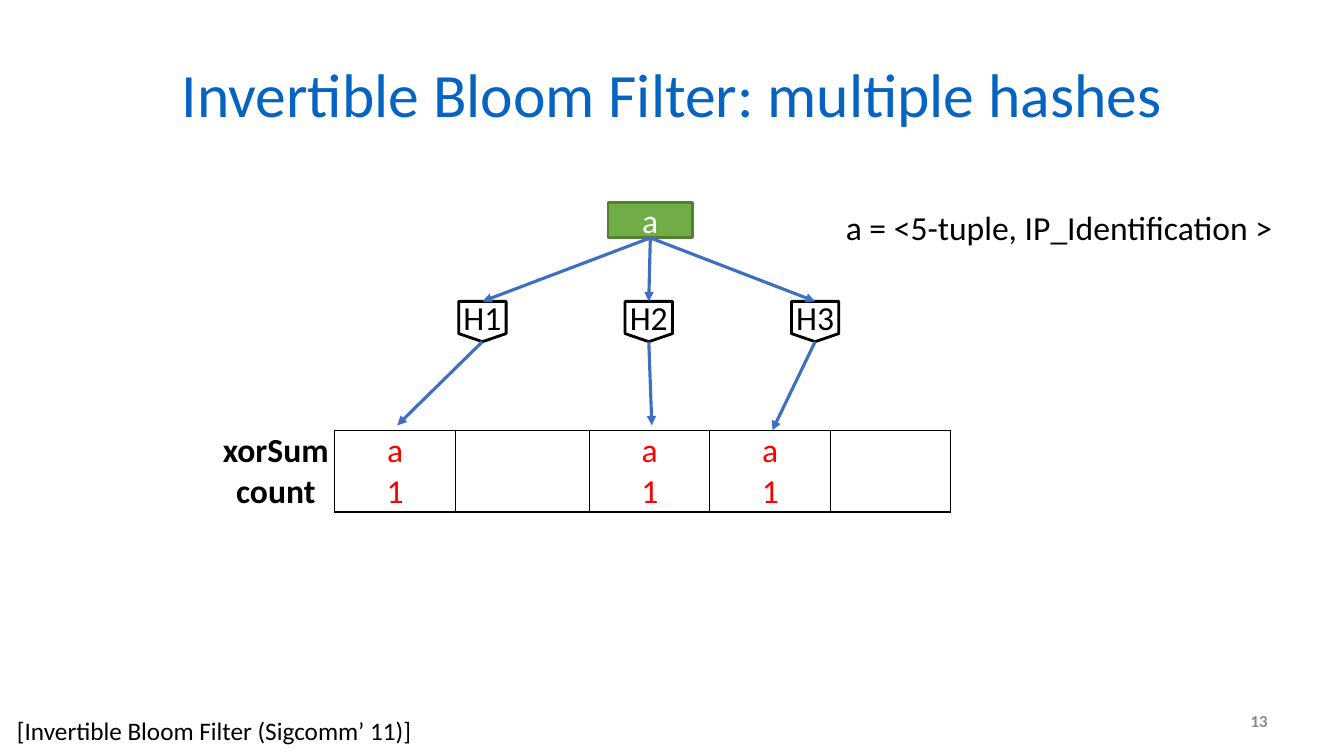
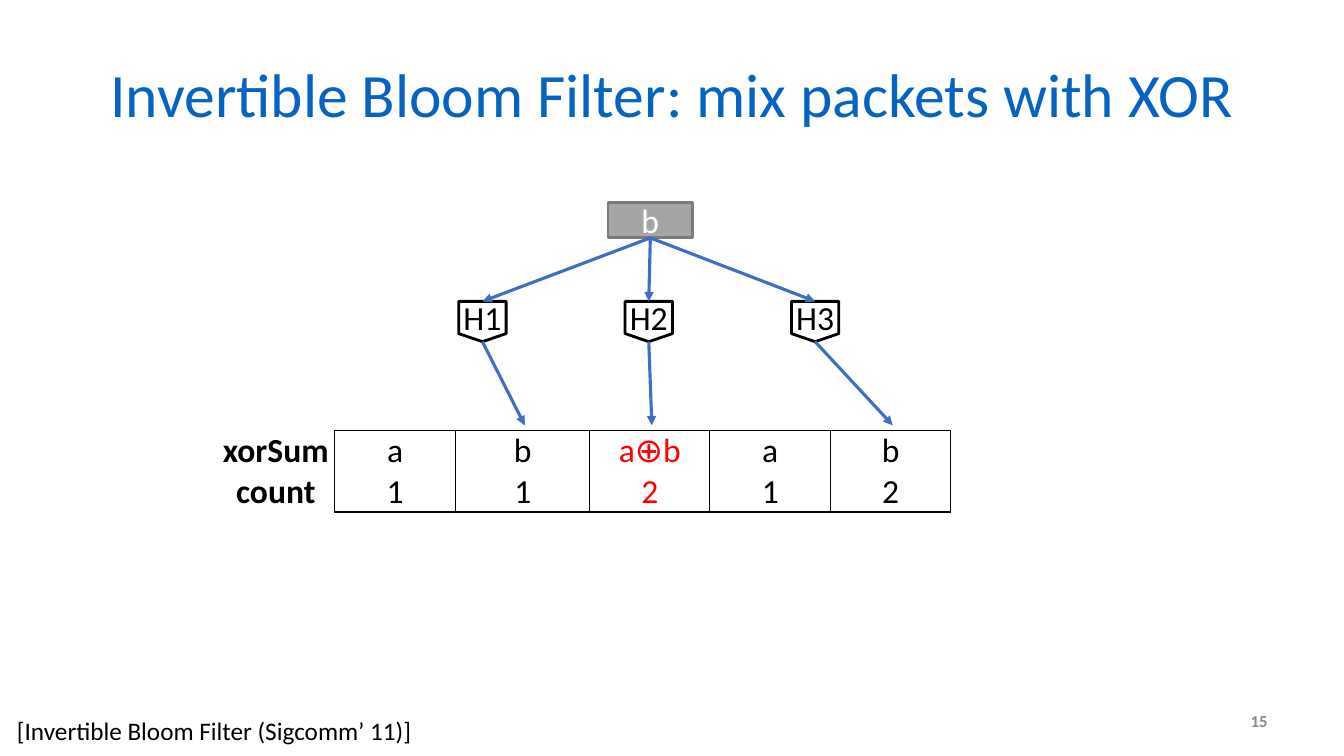
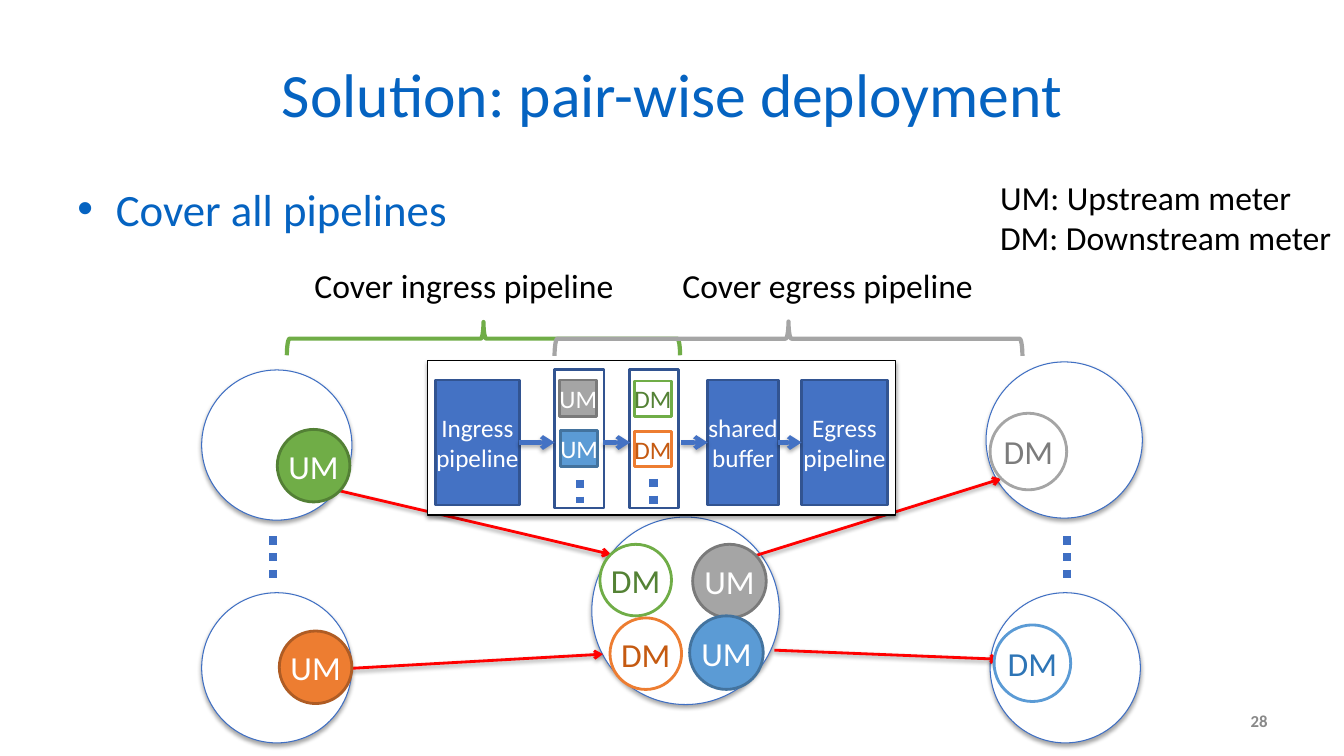
from pptx import Presentation
from pptx.dml.color import RGBColor
from pptx.enum import dml, shapes, text
from pptx.oxml.ns import qn
from pptx.util import Inches, Pt
from lxml import etree

FONT = "Calibri"
BLACK, WHITE, RED = "000000", "FFFFFF", "FF0000"
TITLE_BLUE, GREY_TEXT = "0563C1", "898989"
ARROW_BLUE, BLOCK_BLUE, BLOCK_EDGE = "3F6FC3", "4472C4", "325491"
# Meter colours: base, edge of a filled meter, text of an outlined meter
METERS = {
    "green": ("70AD47", "538035", "548235"),
    "grey": ("A5A5A5", "7A7A7A", "7C7C7C"),
    "orange": ("ED7D31", "AF5C24", "C55A11"),
    "blue": ("5B9BD5", "43739E", "2E75B6"),
}
SHADOW = (
    '<a:outerShdw xmlns:a="http://schemas.openxmlformats.org/drawingml/2006/main" '
    'blurRad="39370" dist="22860" dir="5400000" rotWithShape="0">'
    '<a:srgbClr val="000000"><a:alpha val="35000"/></a:srgbClr></a:outerShdw>'
)
RECT, OVAL = shapes.MSO_SHAPE.RECTANGLE, shapes.MSO_SHAPE.OVAL
LEFT, CENTER, RIGHT = text.PP_ALIGN.LEFT, text.PP_ALIGN.CENTER, text.PP_ALIGN.RIGHT
MIDDLE, TOP = text.MSO_ANCHOR.MIDDLE, text.MSO_ANCHOR.TOP
PADDED = (0.1, 0.05)
rgb = RGBColor.from_string


def box(slide, kind, at, lines=(), size=24, colour=BLACK, bold=False, fill=None,
        line=None, weight=2, align=CENTER, anchor=MIDDLE, wrap=False,
        inset=(0, 0), shadow=False):
    """Add a preset shape, or a text box if kind is None, with one paragraph per line."""
    place = [Inches(value) for value in at]
    if kind is None:
        part = slide.shapes.add_textbox(*place)
    else:
        part = slide.shapes.add_shape(kind, *place)
        part.shadow.inherit = False
        if shadow:
            part._element.spPr.find(qn("a:effectLst")).append(etree.fromstring(SHADOW))
        if fill:
            part.fill.solid()
            part.fill.fore_color.rgb = rgb(fill)
        else:
            part.fill.background()
        part.line.color.rgb = rgb(line)
        part.line.width = Pt(weight)
    frame = part.text_frame
    frame.word_wrap = wrap
    frame.vertical_anchor = anchor
    frame.margin_left = frame.margin_right = Inches(inset[0])
    frame.margin_top = frame.margin_bottom = Inches(inset[1])
    for index, words in enumerate(lines):
        paragraph = frame.add_paragraph() if index else frame.paragraphs[0]
        paragraph.alignment = align
        run = paragraph.add_run()
        run.text = words
        run.font.name, run.font.size, run.font.bold = FONT, Pt(size), bold
        run.font.color.rgb = rgb(colour)
    return part


def connect(slide, start, end, colour, weight, head=None, dash=None, shadow=False):
    """Draw a line; each end is a point (x, y) or a pair (shape, side)."""
    joined = [hasattr(point[0], "shape_id") for point in (start, end)]
    spots = [(0, 0) if fixed else point for fixed, point in zip(joined, (start, end))]
    link = slide.shapes.add_connector(
        shapes.MSO_CONNECTOR.STRAIGHT, *[Inches(value) for spot in spots for value in spot])
    if joined[0]:
        link.begin_connect(*start)
    if joined[1]:
        link.end_connect(*end)
    link.line.color.rgb = rgb(colour)
    link.line.width = Pt(weight)
    if dash:
        link.line.dash_style = dash
    properties = link._element.spPr
    if head:
        etree.SubElement(properties.find(qn("a:ln")), qn("a:tailEnd"), type=head)
    effects = etree.SubElement(properties, qn("a:effectLst"))
    if shadow:
        effects.append(etree.fromstring(SHADOW))


deck = Presentation()
deck.slide_width, deck.slide_height = Inches(13.33), Inches(7.5)

slides = []
for title, number in (
    ("Invertible Bloom Filter: multiple hashes", "13"),
    ("Invertible Bloom Filter: mix packets with XOR", "15"),
    ("Solution: pair-wise deployment", "28"),
):
    slide = deck.slides.add_slide(deck.slide_layouts[6])
    box(slide, None, (0.67, 0.3, 12, 1.25), [title], 44, TITLE_BLUE, wrap=True, inset=PADDED)
    box(slide, None, (9.56, 6.95, 3.11, 0.4), [number], 12, GREY_TEXT, bold=True,
        align=RIGHT, wrap=True, inset=PADDED)
    slides.append(slide)

# Bloom filter slides: packet, three hashes, one row of cells
COLUMNS = (1.17, 1.2, 1.33, 1.19, 1.2, 1.19)
TABLE_LEFT, TABLE_TOP, ROW_HEIGHT = 2.15, 4.27, 0.81
LABELS = ("xorSum", "count")
filters = (
    ("a", "green", ((1, 4.22), (3, 4.22), (4, 4.27)),
     (("a", "1", RED), None, ("a", "1", RED), ("a", "1", RED), None)),
    ("b", "grey", ((2, 4.22), (3, 4.22), (5, 4.22)),
     (("a", "1", BLACK), ("b", "1", BLACK), ("a⊕b", "2", RED), ("a", "1", BLACK),
      ("b", "2", BLACK))),
)
for slide, (packet_name, tone, hits, contents) in zip(slides, filters):
    table = slide.shapes.add_table(
        1, len(COLUMNS), Inches(TABLE_LEFT), Inches(TABLE_TOP),
        Inches(sum(COLUMNS)), Inches(ROW_HEIGHT)).table
    table.first_row = table.horz_banding = False
    table.rows[0].height = Inches(ROW_HEIGHT)
    for index, content in enumerate(((*LABELS, BLACK), *contents)):
        table.columns[index].width = Inches(COLUMNS[index])
        cell = table.cell(0, index)
        cell.margin_left = cell.margin_right = cell.margin_top = cell.margin_bottom = 0
        for side in "LRTB":
            border = etree.SubElement(
                cell._tc.get_or_add_tcPr(), qn(f"a:ln{side}"), w=str(Pt(1)))
            if index or side == "R":
                ink = etree.SubElement(border, qn("a:solidFill"))
                etree.SubElement(ink, qn("a:srgbClr"), val=BLACK)
            else:
                etree.SubElement(border, qn("a:noFill"))
        cell.fill.background()
        if content is None:
            continue
        *entries, colour = content
        for row, entry in enumerate(entries):
            frame = cell.text_frame
            paragraph = frame.add_paragraph() if row else frame.paragraphs[0]
            paragraph.alignment = CENTER
            run = paragraph.add_run()
            run.text = entry
            run.font.name, run.font.size, run.font.bold = FONT, Pt(24), index == 0
            run.font.color.rgb = rgb(colour)

    base, edge, _ = METERS[tone]
    packet = box(slide, RECT, (6.03, 2.01, 0.84, 0.35), [packet_name], colour=WHITE,
                 fill=base, line=edge, inset=PADDED)
    for index, (column, tip) in enumerate(hits):
        hash_box = box(slide, shapes.MSO_SHAPE.FLOWCHART_OFFPAGE_CONNECTOR,
                       (4.55 + 1.65 * index, 2.99, 0.47, 0.4), [f"H{index + 1}"],
                       fill=WHITE, line=BLACK)
        target = TABLE_LEFT + sum(COLUMNS[:column]) + COLUMNS[column] / 2 + 0.02
        connect(slide, (packet, 2), (hash_box, 0), ARROW_BLUE, 2.25, "triangle")
        connect(slide, (hash_box, 2), (target, tip), ARROW_BLUE, 2.25, "triangle")
    box(slide, None, (0.07, 7.05, 4.16, 0.4), ["[Invertible Bloom Filter (Sigcomm’ 11)]"],
        18, align=LEFT, inset=PADDED)
box(slides[0], None, (8.29, 2, 4.48, 0.5), ["a = <5-tuple, IP_Identification >"],
    align=LEFT, inset=PADDED)

# Deployment slide
slide = slides[2]
bullet = box(slide, None, (0.67, 1.75, 8, 0.7), ["Cover all pipelines"], 32, TITLE_BLUE,
             align=LEFT, anchor=TOP, wrap=True, inset=PADDED)
indents = bullet.text_frame.paragraphs[0]._p.get_or_add_pPr()
indents.set("marL", str(Inches(0.38)))
indents.set("indent", str(-Inches(0.38)))
etree.SubElement(indents, qn("a:buFont"), typeface="Arial")
etree.SubElement(indents, qn("a:buChar"), char="•")

for left, top, width, lines in (
    (9.82, 1.7, 3.52, ["UM: Upstream meter", "DM: Downstream meter"]),
    (3.02, 2.58, 3.2, ["Cover ingress pipeline"]),
    (6.67, 2.58, 3.11, ["Cover egress pipeline"]),
):
    box(slide, None, (left, top, width, 0.09 + 0.41 * len(lines)), lines,
        align=LEFT, inset=PADDED)

for left, top, diameter in (
    (5.87, 5.13, 1.86), (9.78, 3.59, 1.55), (2, 3.67, 1.49), (2, 5.88, 1.49), (9.82, 5.88, 1.49),
):
    box(slide, OVAL, (left, top, diameter, diameter), fill=WHITE, line=ARROW_BLUE,
        weight=0.75, shadow=True)
for start, end in (
    ((7.5, 5.51), (9.93, 4.75)), ((3.37, 4.87), (6.06, 5.5)),
    ((3.49, 6.63), (5.98, 6.49)), ((7.68, 6.45), (9.91, 6.54)),
):
    connect(slide, start, end, RED, 2, "arrow", shadow=True)
for left, top, width, height, tone in (
    (4.63, 1.41, 0.33, 3.9, "green"), (7.65, 1.04, 0.34, 4.64, "grey"),
):
    brace = box(slide, shapes.MSO_SHAPE.LEFT_BRACE, (left, top, width, height),
                line=METERS[tone][0], weight=3)
    brace.rotation = 90

# Pipeline inside the middle switch
box(slide, RECT, (4.24, 3.58, 4.64, 1.53), fill=WHITE, line=BLACK, weight=0.75, shadow=True)
ingress, shared, egress = [
    box(slide, RECT, (left, 3.77, width, 1.24), lines, 18, WHITE, fill=BLOCK_BLUE,
        line=BLOCK_EDGE, wrap=True)
    for left, width, lines in (
        (4.32, 0.83, ["Ingress pipeline"]), (7.02, 0.7, ["shared", "buffer"]),
        (7.95, 0.85, ["Egress pipeline"]))
]
for left in (5.5, 6.24):
    box(slide, RECT, (left, 3.67, 0.49, 1.37), line=BLOCK_EDGE)
for start, end in (
    ((ingress, 3), (5.5, 4.39)), ((5.98, 4.39), (6.25, 4.39)),
    ((6.75, 4.39), (shared, 1)), ((shared, 3), (egress, 1)),
):
    connect(slide, start, end, BLOCK_BLUE, 3, "arrow", shadow=True)
for x, top, bottom in (
    (2.71, 5.32, 5.78), (10.58, 5.32, 5.78), (5.75, 4.76, 4.99), (6.48, 4.75, 5.04),
):
    connect(slide, (x, top), (x, bottom), ARROW_BLUE, 6, dash=dml.MSO_LINE.ROUND_DOT)

for kind, size, meter, tone, at in (
    (OVAL, 24, "UM", "grey", (6.87, 5.4, 0.73, 0.73)),
    (OVAL, 24, "DM", "grey", (9.82, 4.1, 0.76, 0.76)),
    (OVAL, 24, "UM", "green", (2.75, 4.26, 0.72, 0.72)),
    (OVAL, 24, "DM", "green", (5.95, 5.4, 0.71, 0.71)),
    (OVAL, 24, "UM", "orange", (2.77, 6.26, 0.72, 0.72)),
    (OVAL, 24, "DM", "orange", (6.05, 6.13, 0.71, 0.71)),
    (OVAL, 24, "UM", "blue", (6.84, 6.11, 0.73, 0.73)),
    (OVAL, 24, "DM", "blue", (9.86, 6.2, 0.76, 0.76)),
    (RECT, 18, "UM", "grey", (5.55, 3.77, 0.37, 0.36)),
    (RECT, 18, "UM", "blue", (5.56, 4.27, 0.37, 0.36)),
    (RECT, 18, "DM", "green", (6.29, 3.78, 0.37, 0.35)),
    (RECT, 18, "DM", "orange", (6.29, 4.28, 0.37, 0.35)),
):
    base, edge, dark = METERS[tone]
    fill, line, colour = (base, edge, WHITE) if meter == "UM" else (WHITE, base, dark)
    box(slide, kind, at, [meter], size, colour, fill=fill, line=line)

deck.save("out.pptx")
